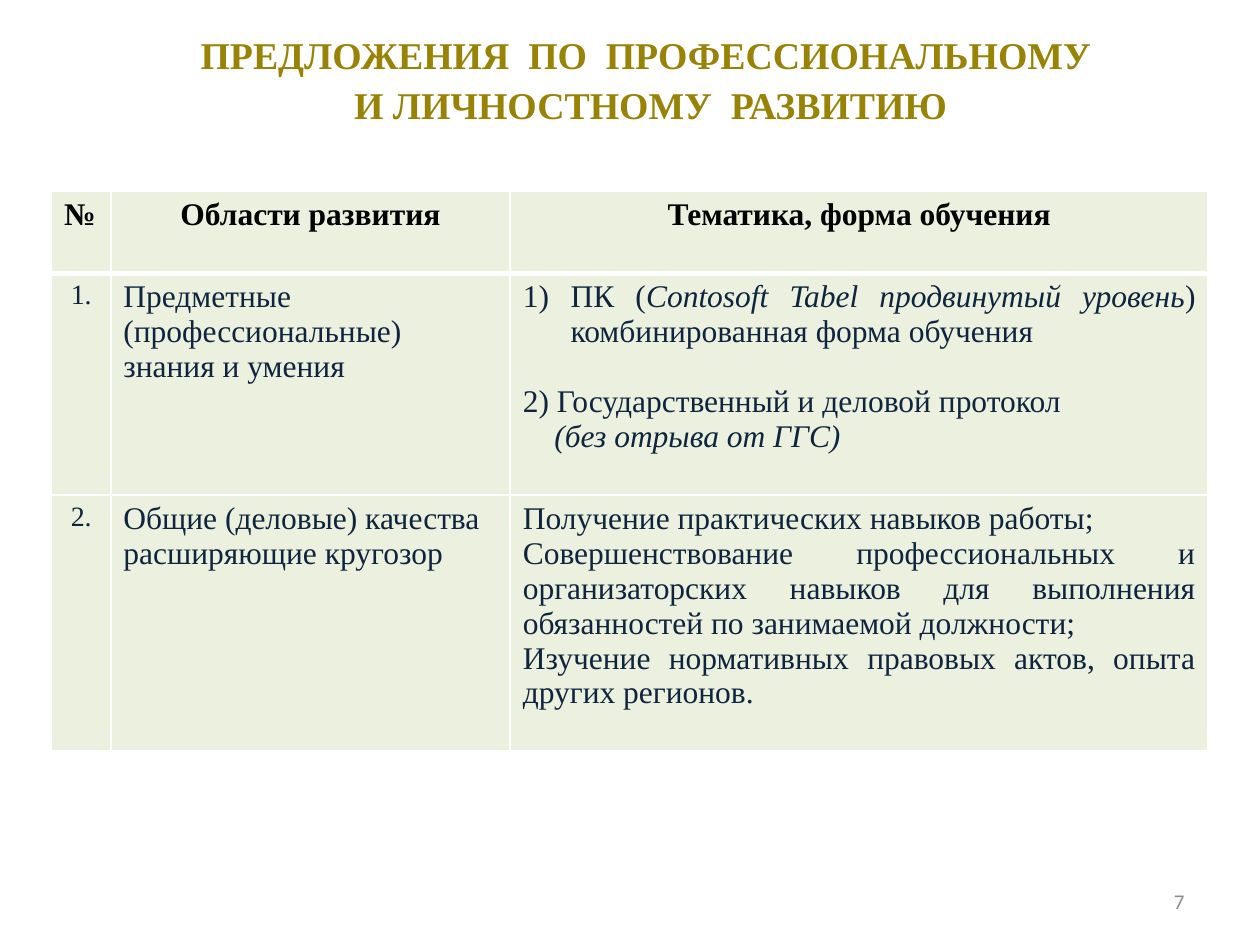
from pptx import Presentation
from pptx.dml.color import RGBColor
from pptx.enum import text
from pptx.oxml import parse_xml
from pptx.oxml.ns import nsdecls
from pptx.util import Inches, Pt

COLORS = {"title": "998307", "head": "000000", "body": "0F243E",
          "cell": "EBF1DE", "border": "FFFFFF", "number": "8C8C8C"}
SERIF = "Times New Roman"
LEFT, CENTER, RIGHT, JUSTIFY = (text.PP_ALIGN.LEFT, text.PP_ALIGN.CENTER,
                                text.PP_ALIGN.RIGHT, text.PP_ALIGN.JUSTIFY)
MIDDLE = text.MSO_ANCHOR.MIDDLE

HEADERS = ["№", "Области развития", "Тематика, форма обучения"]
# Each cell is a list of paragraphs: (text or list of (text, italic), format)
ROWS = [
    [
        [("1.", dict(size=16, align=CENTER))],
        [("Предметные (профессиональные)", {}), ("знания и умения", {})],
        [
            ([("ПК (", False), ("Contosoft Tabel продвинутый уровень", True),
              (") комбинированная форма обучения", False)],
             dict(align=JUSTIFY, numbered=True)),
            ("2) Государственный и деловой протокол", dict(align=JUSTIFY, before=20)),
            ([("(без отрыва от ГГС)", True)], dict(align=JUSTIFY, indent=0.25)),
        ],
    ],
    [
        [("2.", dict(size=16, align=CENTER))],
        [("Общие (деловые) качества расширяющие кругозор", {})],
        [(line, dict(align=JUSTIFY)) for line in (
            "Получение практических навыков работы;",
            "Совершенствование профессиональных и организаторских навыков "
            "для выполнения обязанностей по занимаемой должности;",
            "Изучение нормативных правовых актов, опыта других регионов.")],
    ],
]


def write(p, content, size=18, color="body", font=SERIF, bold=False, align=LEFT,
          before=0, indent=0, numbered=False, spacing=None):
    """Fill a paragraph with a string or a list of (text, italic) pieces."""
    p.alignment = align
    p.space_before = Pt(before)
    if spacing:
        p.line_spacing = spacing
    pPr = p._p.get_or_add_pPr()
    if numbered:
        pPr.set("marL", str(Inches(0.38)))
        pPr.set("indent", str(-Inches(0.38)))
        pPr.append(parse_xml(f'<a:buAutoNum {nsdecls("a")} type="arabicParenR"/>'))
    elif indent:
        pPr.set("marL", str(Inches(indent)))
    pieces = [(content, False)] if isinstance(content, str) else content
    for piece, italic in pieces:
        r = p.add_run()
        r.text = piece
        r.font.name, r.font.size = font, Pt(size)
        r.font.bold, r.font.italic = bold, italic
        r.font.color.rgb = RGBColor.from_string(COLORS[color])


def place(sp, box):
    sp.left, sp.top, sp.width, sp.height = (Inches(v) for v in box)


def add_title(s, box):
    sp = s.shapes.title
    place(sp, box)
    tf = sp.text_frame
    tf.word_wrap = True
    tf.auto_size = text.MSO_AUTO_SIZE.NONE
    tf.vertical_anchor = MIDDLE
    lines = ["ПРЕДЛОЖЕНИЯ  ПО  ПРОФЕССИОНАЛЬНОМУ ", "И ЛИЧНОСТНОМУ  РАЗВИТИЮ"]
    for i, line in enumerate(lines):
        p = tf.add_paragraph() if i else tf.paragraphs[0]
        write(p, line, size=21.6, color="title", bold=True, align=CENTER, spacing=1.1)


def style_cell(cell, top=1, bottom=1):
    """Set the fill and the four border lines of a cell."""
    cell.fill.solid()
    cell.fill.fore_color.rgb = RGBColor.from_string(COLORS["cell"])
    tcPr = cell._tc.get_or_add_tcPr()
    for i, (side, width) in enumerate(dict(L=1, R=1, T=top, B=bottom).items()):
        tcPr.insert(i, parse_xml(
            f'<a:ln{side} {nsdecls("a")} w="{Pt(width)}"><a:solidFill>'
            f'<a:srgbClr val="{COLORS["border"]}"/></a:solidFill></a:ln{side}>'))


def add_areas_table(s, box, widths, heights):
    header = [[(h, dict(color="head", bold=True, align=CENTER if i else LEFT))]
              for i, h in enumerate(HEADERS)]
    rows = [header] + ROWS
    table = s.shapes.add_table(len(rows), len(widths),
                               *(Inches(v) for v in box)).table
    for col, w in zip(table.columns, widths):
        col.width = Inches(w)
    for i, (row, h) in enumerate(zip(rows, heights)):
        table.rows[i].height = Inches(h)
        for j, paragraphs in enumerate(row):
            cell = table.cell(i, j)
            style_cell(cell, top=3 if i == 1 else 1, bottom=1 if i else 3)
            tf = cell.text_frame
            for k, (content, fmt) in enumerate(paragraphs):
                write(tf.add_paragraph() if k else tf.paragraphs[0], content, **fmt)


def add_page_number(s, box, number):
    tf = s.shapes.add_textbox(*(Inches(v) for v in box)).text_frame
    tf.word_wrap = True
    tf.vertical_anchor = MIDDLE
    write(tf.paragraphs[0], number, size=12, color="number", font="Calibri", align=RIGHT)


def main():
    prs = Presentation()
    prs.slide_width, prs.slide_height = Inches(10), Inches(7.5)
    s = prs.slides.add_slide(prs.slide_layouts[5])
    add_page_number(s, (7.17, 6.95, 2.33, 0.4), "7")
    add_title(s, (0.59, 0.05, 9.15, 1.13))
    add_areas_table(s, (0.41, 1.52, 9.18, 4.44),
                    widths=(0.47, 3.17, 5.54), heights=(0.65, 1.76, 2.03))
    prs.save("out.pptx")


if __name__ == "__main__":
    main()
